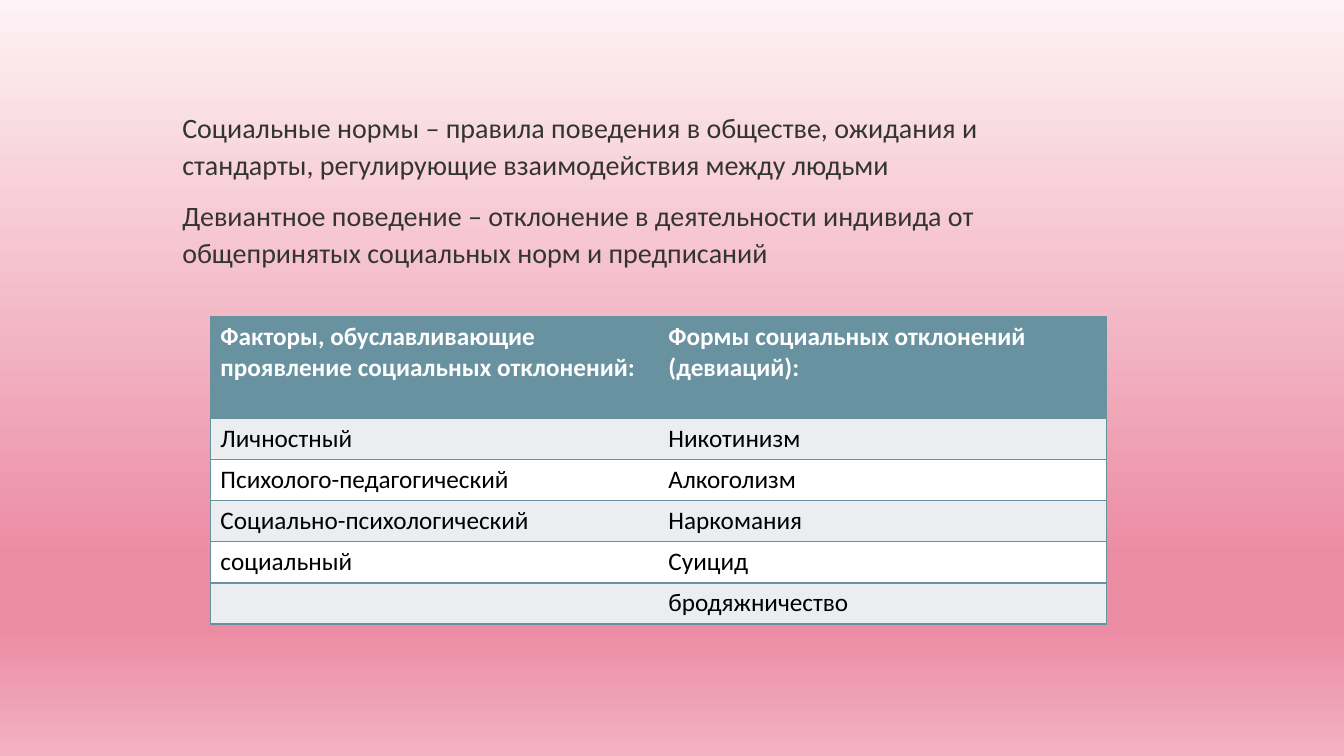
from pptx import Presentation
from pptx.dml.color import RGBColor as RGB
from pptx.enum.text import MSO_ANCHOR as Anchor, MSO_AUTO_SIZE as Fit
from pptx.oxml.ns import qn
from pptx.util import Pt
from lxml.etree import SubElement as Sub

TEAL = RGB(0x68, 0x92, 0xA0)
PALE = RGB(0xEB, 0xEE, 0xF0)
WHITE = RGB(0xFF, 0xFF, 0xFF)
BLACK = RGB(0, 0, 0)
GRAY = RGB(0x34, 0x34, 0x34)
BLUSH = RGB(0xFD, 0xF2, 0xF5)
ROSE = RGB(0xEC, 0x8C, 0xA3)
PINK = RGB(0xF2, 0xB2, 0xC2)

STOPS = [(0, BLUSH), (74, ROSE), (83, ROSE), (100, PINK)]
TERMS = [
    "Социальные нормы – правила поведения в обществе, ожидания и стандарты, "
    "регулирующие взаимодействия между людьми",
    "Девиантное поведение – отклонение в деятельности индивида от "
    "общепринятых социальных норм и предписаний",
]
ROWS = [
    ("Факторы, обуславливающие проявление социальных отклонений:",
     "Формы социальных отклонений (девиаций):"),
    ("Личностный", "Никотинизм"),
    ("Психолого-педагогический", "Алкоголизм"),
    ("Социально-психологический", "Наркомания"),
    ("социальный", "Суицид"),
    ("", "бродяжничество"),
]


class Deck:
    """Holds the style and the current slide, and draws each kind of element."""

    font = "Calibri"

    def __init__(self, wide, high):
        self.prs = Presentation()
        self.prs.slide_width, self.prs.slide_height = Pt(wide), Pt(high)
        self.slide = self.prs.slides.add_slide(self.prs.slide_layouts[1])
        title = self.slide.shapes.title.element
        title.getparent().remove(title)

    def back(self, stops):
        fill = self.slide.background.fill
        fill.gradient()
        fill.gradient_angle = 270
        group = next(self.slide.element.iter(qn("a:gsLst")))
        for old in list(group):
            group.remove(old)
        for spot, color in stops:
            stop = Sub(group, qn("a:gs"), pos=str(spot * 1000))
            Sub(stop, qn("a:srgbClr"), val=str(color))

    def style(self, para, size, color, bold=False):
        for run in para.runs:
            font = run.font
            font.name, font.size, font.bold = self.font, Pt(size), bold
            font.color.rgb = color

    def body(self, x, y, w, h, lines):
        box = self.slide.placeholders[1]
        box.left, box.top, box.width, box.height = map(Pt, (x, y, w, h))
        frame = box.text_frame
        frame.text = "\n".join(lines)
        frame.word_wrap, frame.auto_size = True, Fit.NONE
        frame.vertical_anchor = Anchor.TOP
        for para in frame.paragraphs:
            para.line_spacing, para.space_before = 1.1, Pt(10)
            props = para._p.get_or_add_pPr()
            props.set("marL", "0")
            props.set("indent", "0")
            Sub(props, qn("a:buNone"))
            self.style(para, 20, GRAY)

    def edges(self, cell, inner):
        props = cell._tc.get_or_add_tcPr()
        for side in ("lnL", "lnR", "lnT", "lnB"):
            line = Sub(props, qn(f"a:{side}"), w=str(Pt(1)))
            if side == inner:
                Sub(line, qn("a:noFill"))
            else:
                fill = Sub(line, qn("a:solidFill"))
                Sub(fill, qn("a:srgbClr"), val=str(TEAL))

    def table(self, x, y, w, head, step, rows):
        high = head + step * (len(rows) - 1)
        shape = self.slide.shapes.add_table(
            len(rows), len(rows[0]), *map(Pt, (x, y, w, high)))
        grid = shape.table
        for r, texts in enumerate(rows):
            grid.rows[r].height = Pt(step if r else head)
            fill = TEAL if r == 0 else PALE if r % 2 else WHITE
            for c, text in enumerate(texts):
                cell = grid.cell(r, c)
                cell.text = text
                self.edges(cell, "lnL" if c else "lnR")
                cell.fill.solid()
                cell.fill.fore_color.rgb = fill
                self.style(cell.text_frame.paragraphs[0], 18,
                           BLACK if r else WHITE, r == 0)

    def save(self):
        self.prs.save("out.pptx")


def main():
    deck = Deck(960, 540)
    deck.back(STOPS)
    deck.body(123, 72.7, 677, 124.5, TERMS)
    deck.table(150.3, 226.2, 640, 72.6, 29.4, ROWS)
    deck.save()


if __name__ == "__main__":
    main()
